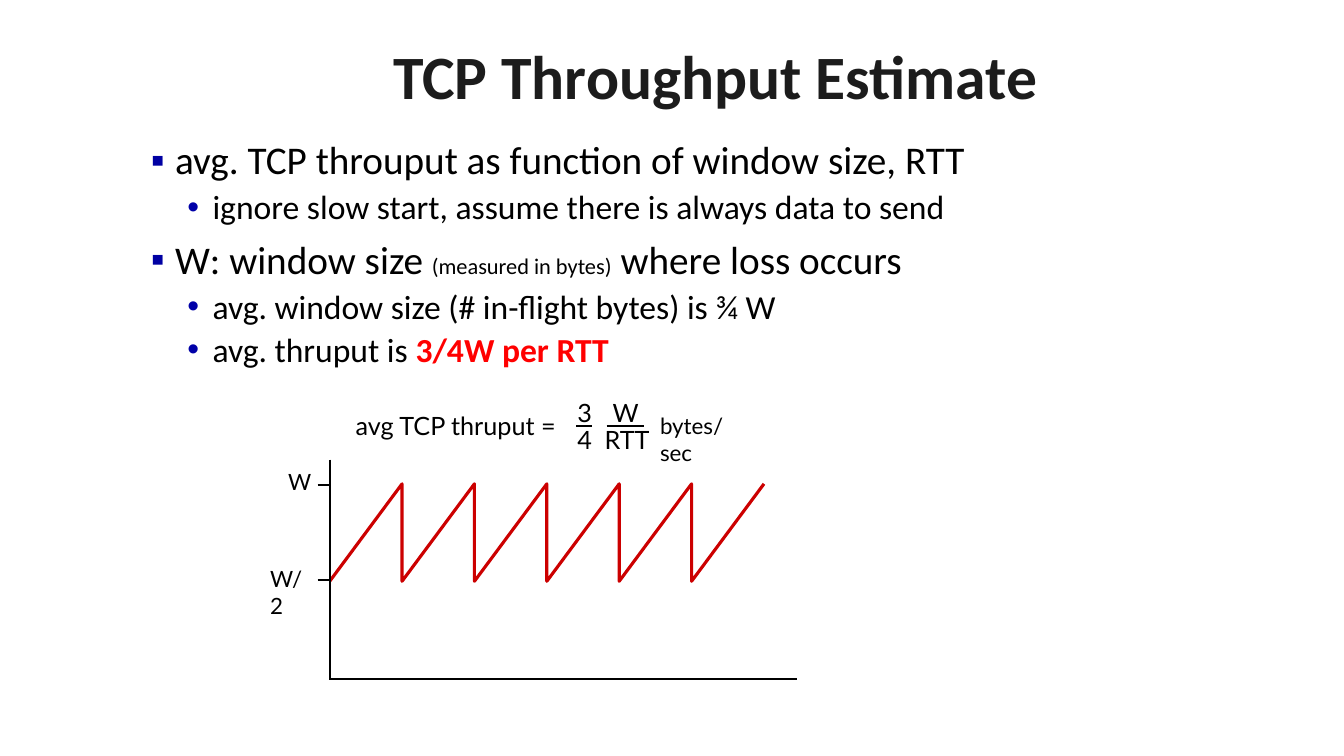
from pptx import Presentation
from pptx.dml.color import RGBColor as RGB
from pptx.enum.shapes import MSO_CONNECTOR as CONN
from pptx.enum.text import MSO_ANCHOR as ANCHOR, MSO_AUTO_SIZE as AUTO, PP_ALIGN as ALIGN
from pptx.oxml.ns import qn
from pptx.util import Pt
from lxml.etree import SubElement

COLORS = {
    "title": "1C1C1C", "text": "000000", "emphasis": "FF0000",
    "square": "0000A3", "dot": "0000A8", "axis": "000000", "window": "CC0000",
}

# Per level: bullet, its colour, left margin, hanging indent, space before, size
LEVELS = [("▪", "square", 28, 17.3, 10, 28), ("•", "dot", 54.7, 18, 5, 24)]

# Each run: text, then optional size, colour and bold
BULLETS = [
    (0, [("avg. TCP throuput as function of window size, RTT",)]),
    (1, [("ignore slow start, assume there is always data to send",)]),
    (0, [("W: window size ",), ("(measured in bytes)", 16), (" where loss occurs",)]),
    (1, [("avg. window size (# in-flight bytes) is ¾ W",)]),
    (1, [("avg. thruput is ",), ("3/4W per RTT", 24, "emphasis", True)]),
]


class SlideBuilder:
    """Draws on one slide; all lengths are in points."""
    body_font = "Calibri"
    label_font = "Lato"

    def __init__(self, slide):
        self.slide = slide

    def style(self, r, font, size, color="text", bold=False):
        r.font.name, r.font.size, r.font.bold = font, Pt(size), bold
        r.font.color.rgb = RGB.from_string(COLORS[color])

    def title(self, text, left, top, width, height):
        sp = self.slide.shapes.title
        sp.left, sp.top, sp.width, sp.height = map(Pt, (left, top, width, height))
        tf = sp.text_frame
        tf.text = text
        tf.vertical_anchor = ANCHOR.MIDDLE
        p = tf.paragraphs[0]
        p.alignment, p.line_spacing = ALIGN.CENTER, 0.9
        self.style(p.runs[0], self.body_font, 44, "title", True)

    def bullets(self, items, left, top, width, height):
        tf = self.slide.shapes.add_textbox(*map(Pt, (left, top, width, height))).text_frame
        tf.word_wrap = True
        for i, (level, runs) in enumerate(items):
            p = tf.add_paragraph() if i else tf.paragraphs[0]
            char, color, margin, hanging, before, size = LEVELS[level]
            p.level, p.line_spacing, p.space_before = level, 0.9, Pt(before)
            self.bullet(p, char, color, margin, hanging)
            for text, *look in runs:
                r = p.add_run()
                r.text = text
                self.style(r, self.body_font, *(look or [size]))

    def bullet(self, p, char, color, margin, hanging):
        pPr = p._p.get_or_add_pPr()
        pPr.set("marL", str(Pt(margin)))
        pPr.set("indent", str(-Pt(hanging)))
        SubElement(SubElement(pPr, qn("a:buClr")), qn("a:srgbClr"), val=COLORS[color])
        SubElement(pPr, qn("a:buFont"), typeface="Arial")
        SubElement(pPr, qn("a:buChar"), char=char)

    def label(self, text, left, top, width, size=18, wrap=False):
        sp = self.slide.shapes.add_textbox(Pt(left), Pt(top), Pt(width), Pt(28))
        tf = sp.text_frame
        tf.text = text
        tf.word_wrap = wrap
        tf.auto_size = AUTO.NONE if wrap else AUTO.SHAPE_TO_FIT_TEXT
        self.style(tf.paragraphs[0].runs[0], self.label_font, size)

    def line(self, x1, y1, x2, y2):
        sp = self.slide.shapes.add_connector(CONN.STRAIGHT, *map(Pt, (x1, y1, x2, y2)))
        sp.line.color.rgb = RGB.from_string(COLORS["axis"])
        sp.line.width = Pt(1.5)
        SubElement(sp._element.spPr, qn("a:effectLst"))

    def sawtooth(self, left, low, high, pitch, teeth):
        """Rise from low to high in each tooth, dropping back between teeth."""
        points = []
        for i in range(teeth):
            points += [(left + i * pitch, low), (left + (i + 1) * pitch, high)]
        points = [(Pt(x), Pt(y)) for x, y in points]
        path = self.slide.shapes.build_freeform(*points[0])
        path.add_line_segments(points[1:], close=False)
        sp = path.convert_to_shape()
        sp.shadow.inherit = False
        sp.fill.background()
        sp.line.color.rgb = RGB.from_string(COLORS["window"])
        sp.line.width = Pt(2.25)


def main():
    prs = Presentation()
    prs.slide_width, prs.slide_height = Pt(960), Pt(540)
    b = SlideBuilder(prs.slides.add_slide(prs.slide_layouts[5]))

    b.title("TCP Throughput Estimate", 62.6, 21.6, 897.1, 70.6)
    b.bullets(BULLETS, 90, 97.2, 841, 365.8)

    # Window size over time
    b.sawtooth(235.5, 415.2, 345.6, 51.7, 6)
    b.line(235.5, 485.3, 569.5, 485.3)
    b.line(236, 328.3, 236, 486)
    for y in (346.3, 414):
        b.line(226.8, y, 235.5, y)
    b.label("W", 198.7, 331.2, 28.8, 16)
    b.label("W/2", 185.8, 400.3, 40, 16, wrap=True)

    # Throughput formula
    b.label("avg TCP thruput =", 247, 289.4, 168.5, wrap=True)
    for text, left, top, width in [
        ("3", 405.4, 280.1, 24.5), ("4", 405.4, 299.5, 24.5),
        ("W", 430.6, 280.1, 31), ("RTT", 424.8, 299.5, 46.8),
    ]:
        b.label(text, left, top, width)
    for x1, x2 in ((411.8, 422.6), (433.4, 460.1)):
        b.line(x1, 304.6, x2, 304.6)
    b.label("bytes/sec", 464.4, 290.9, 72, 16, wrap=True)

    prs.save("out.pptx")


if __name__ == "__main__":
    main()
